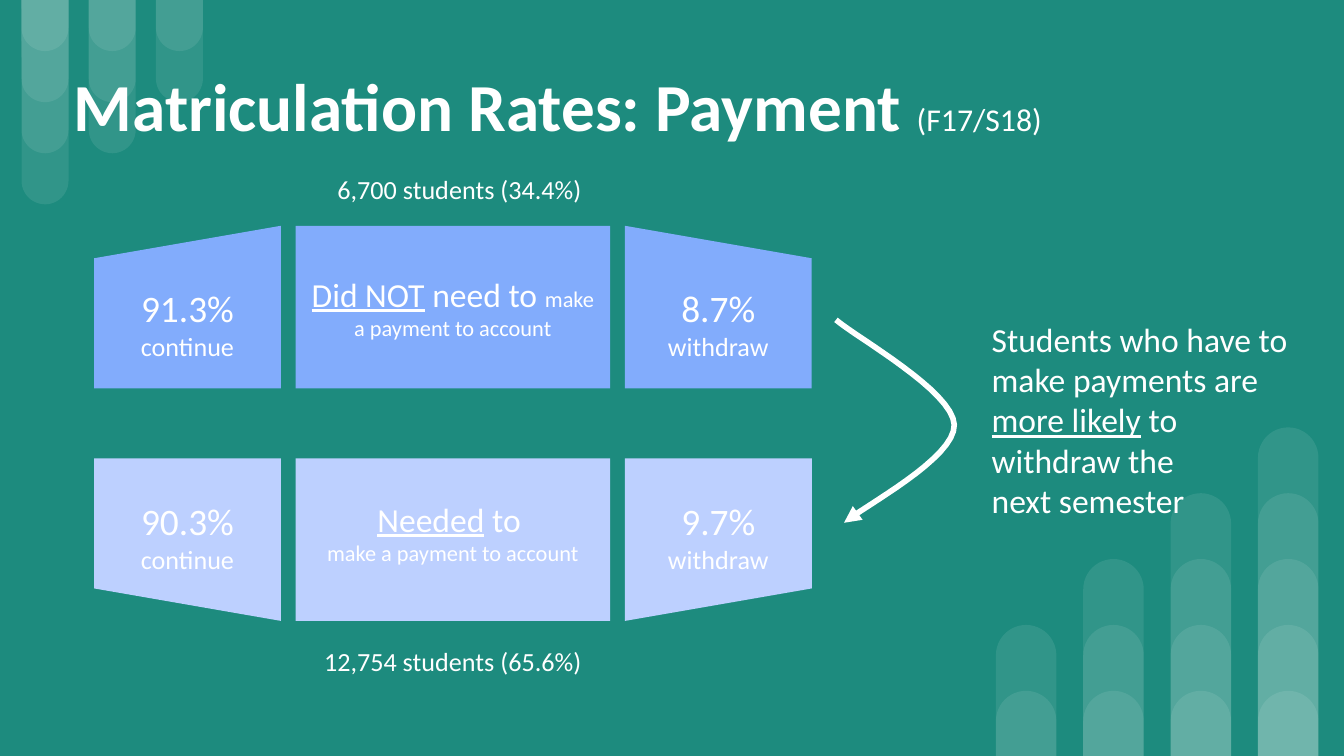
from lxml.etree import SubElement
from pptx import Presentation
from pptx.dml.color import RGBColor
from pptx.enum.shapes import MSO_SHAPE
from pptx.enum.text import MSO_ANCHOR, PP_ALIGN
from pptx.oxml.ns import qn
from pptx.util import Inches, Pt

COLORS = {
    "background": "1D8B7E",
    "white": "FFFFFF",
    "no_payment": "82ACFC",
    "payment": "BDD0FF",
}
FONT = "Calibri"


def color(name):
    """Return the named colour."""
    return RGBColor.from_string(COLORS[name])


def write(frame, paragraphs, align=PP_ALIGN.LEFT, anchor=MSO_ANCHOR.TOP):
    """Fill a text frame with paragraphs of (text, size, style) spans."""
    frame.word_wrap = True
    frame.vertical_anchor = anchor
    frame.margin_left = frame.margin_right = Inches(0.1)
    frame.margin_top = frame.margin_bottom = Inches(0.1)
    for index, spans in enumerate(paragraphs):
        para = frame.add_paragraph() if index else frame.paragraphs[0]
        para.alignment = align
        for text, size, style in spans:
            span = para.add_run()
            span.text = text
            span.font.name = FONT
            span.font.size = Pt(size)
            span.font.bold = style == "bold"
            span.font.underline = style == "underline"
            span.font.color.rgb = color("white")


def add_text(page, box, paragraphs, align=PP_ALIGN.CENTER):
    """Add a text box in the given box."""
    text_box = page.shapes.add_textbox(*map(Inches, box))
    write(text_box.text_frame, paragraphs, align)


def add_block(page, kind, box, fill):
    """Add a filled shape without outline or shadow."""
    block = page.shapes.add_shape(kind, *map(Inches, box))
    block.shadow.inherit = False
    block.fill.solid()
    block.fill.fore_color.rgb = color(fill)
    block.line.fill.background()
    return block


def add_bars(page, box, pitch, step, counts, hanging):
    """Layer translucent round-ended bars in columns along one edge of the box."""
    left, top, width, height = box
    for column, count in enumerate(counts):
        for level in range(count, 0, -1):
            length = step * level
            bar_top = top if hanging else top + height - length
            bar_box = (left + column * pitch, bar_top, width, length)
            bar = add_block(page, MSO_SHAPE.ROUND_2_SAME_RECTANGLE, bar_box, "white")
            bar.adjustments[0] = 0.5
            bar.rotation = 180 if hanging else 0
            tint = bar.element.spPr.find(".//" + qn("a:srgbClr"))
            SubElement(tint, qn("a:alpha"), val="9000")


def add_title(page, box):
    """Place the title and its smaller term note."""
    title = page.shapes.title
    title.left, title.top, title.width, title.height = map(Inches, box)
    spans = [("Matriculation Rates: Payment ", 36, "bold"), ("(F17/S18)", 17, "")]
    write(title.text_frame, [spans])


def add_rate_row(page, box, fill, texts, upside_down):
    """Draw a centre block between two slanted wings, with their texts."""
    left, top, width, height = box
    wing, gap = 1.39, 0.11
    center = width - 2 * (wing + gap)
    columns = [
        (MSO_SHAPE.FLOWCHART_MANUAL_INPUT, left, wing, False),
        (MSO_SHAPE.RECTANGLE, left + wing + gap, center, False),
        (MSO_SHAPE.FLOWCHART_MANUAL_INPUT, left + width - wing, wing, True),
    ]
    for (kind, x, block_width, mirrored), paragraphs in zip(columns, texts):
        block = add_block(page, kind, (x, top, block_width, height), fill)
        if mirrored != upside_down:
            block.element.spPr.find(qn("a:xfrm")).set("flipH", "1")
        if upside_down:
            block.rotation = 180
            add_text(page, (x, top + 0.2, block_width, 0.82), paragraphs)
        else:
            write(block.text_frame, paragraphs, PP_ALIGN.CENTER, MSO_ANCHOR.MIDDLE)


def rate(percent, outcome):
    """Return the paragraphs for one rate."""
    return [[(percent + " ", 20, ""), (outcome, 14, "")]]


def bezier(points, steps=16):
    """Return points along a cubic curve, leaving out its start."""
    curve = []
    for index in range(1, steps + 1):
        t = index / steps
        weights = ((1 - t) ** 3, 3 * t * (1 - t) ** 2, 3 * t**2 * (1 - t), t**3)
        curve.append(
            tuple(Inches(sum(w * p[axis] for w, p in zip(weights, points))) for axis in (0, 1))
        )
    return curve


def add_curved_arrow(page, box):
    """Draw the arrow that bends from the upper row to the lower row."""
    left, top, width, height = box
    start, turn, end = (0, 0), (width, 0.78), (0.06, height)
    halves = [
        (start, (0.15, 0.13), (0.87, 0.53), turn),
        (turn, (0.89, 1.03), (0.2, 1.39), end),
    ]
    builder = page.shapes.build_freeform(Inches(left), Inches(top))
    for half in halves:
        builder.add_line_segments(bezier([(left + x, top + y) for x, y in half]), close=False)
    arrow = builder.convert_to_shape()
    arrow.shadow.inherit = False
    arrow.fill.background()
    arrow.line.color.rgb = color("white")
    arrow.line.width = Pt(3)
    SubElement(arrow.element.spPr.find(qn("a:ln")), qn("a:tailEnd"), type="triangle")


def add_conclusion(page, box):
    """State what the two rows show."""
    paragraphs = [
        [("Students who have to make payments are", 18, "")],
        [("more likely", 18, "underline"), (" to", 18, "")],
        [("withdraw the", 18, "")],
        [("next semester", 18, "")],
    ]
    add_text(page, box, paragraphs, PP_ALIGN.LEFT)


def main():
    """Build and save the deck."""
    deck = Presentation()
    deck.slide_width = Inches(10)
    deck.slide_height = deck.slide_width * 9 // 16
    page = deck.slides.add_slide(deck.slide_layouts[5])
    page.background.fill.solid()
    page.background.fill.fore_color.rgb = color("background")

    add_bars(page, (0.16, 0, 0.35, 1.51), 0.5, 0.38, (4, 3, 2), True)
    add_bars(page, (7.41, 3.18, 0.45, 2.45), 0.65, 0.49, (2, 3, 4, 5), False)
    add_title(page, (0.45, 0.38, 9.1, 0.81))

    no_payment = [
        ("Did NOT", 18, "underline"),
        (" need to ", 18, ""),
        ("make a payment to account", 12, ""),
    ]
    payment = [
        [("Needed", 18, "underline"), (" to ", 18, "")],
        [("make a payment to account", 12, "")],
    ]
    upper = [rate("91.3%", "continue"), [no_payment], rate("8.7%", "withdraw")]
    lower = [rate("90.3%", "continue"), payment, rate("9.7%", "withdraw")]
    add_rate_row(page, (0.7, 1.68, 5.34, 1.21), "no_payment", upper, False)
    add_rate_row(page, (0.7, 3.41, 5.34, 1.21), "payment", lower, True)
    add_text(page, (2.22, 1.19, 2.4, 0.45), [[("6,700 students (34.4%)", 14, "")]])
    add_text(page, (2.17, 4.7, 2.4, 0.45), [[("12,754 students (65.6%)", 14, "")]])

    add_curved_arrow(page, (6.22, 2.38, 0.88, 1.51))
    add_conclusion(page, (7.28, 2.27, 2.72, 2.04))
    deck.save("out.pptx")


if __name__ == "__main__":
    main()
